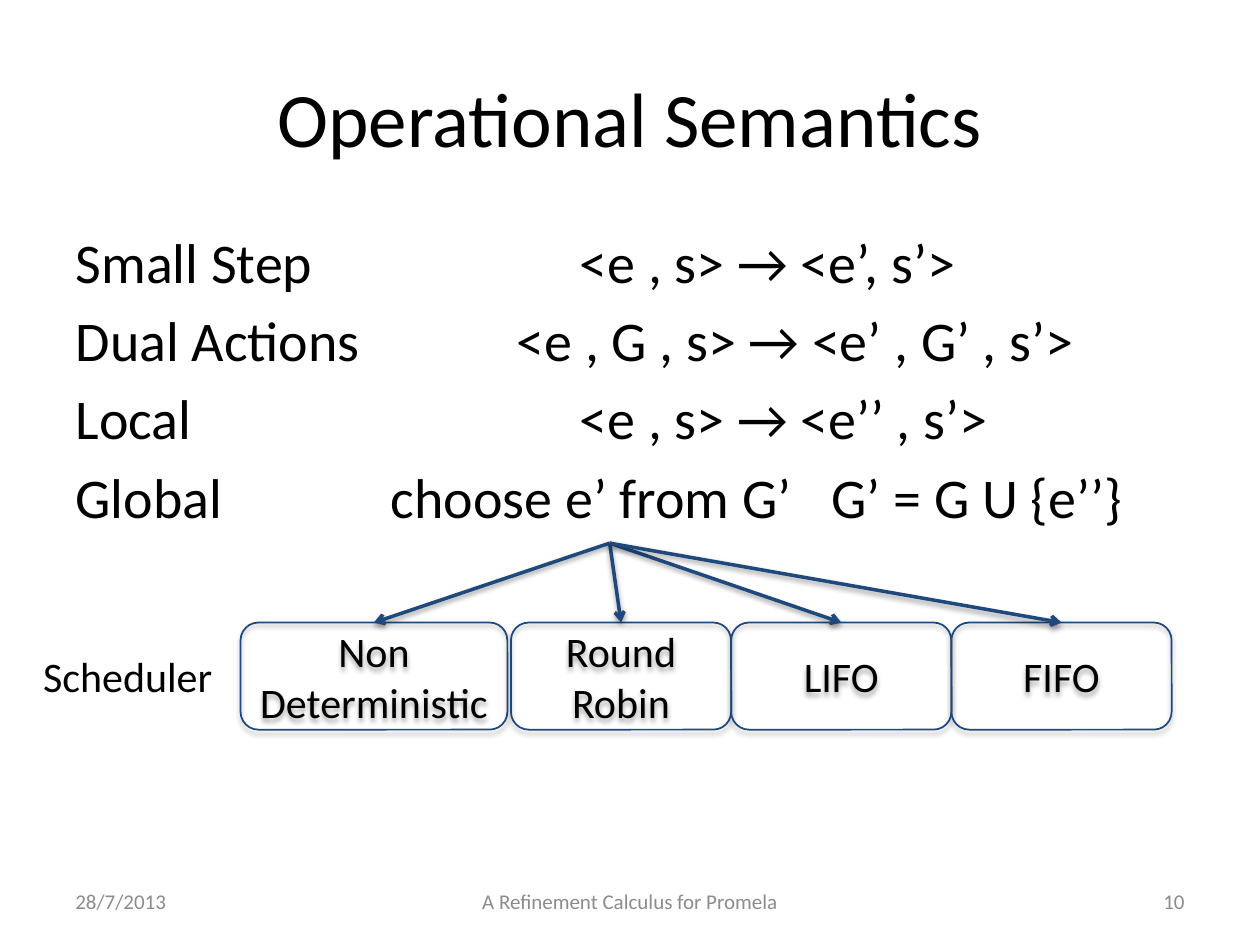
from pptx import Presentation
from pptx.dml.color import RGBColor
from pptx.enum.shapes import MSO_CONNECTOR as Link, MSO_SHAPE as Shape
from pptx.enum.text import MSO_ANCHOR as Anchor, PP_ALIGN as Align
from pptx.oxml import parse_xml
from pptx.oxml.ns import nsdecls, qn
from pptx.util import Cm, Pt

TITLE = "Operational Semantics"
# Each rule: its name, the count of half-inch tabs, and its formula
RULES = [
    ("Small Step", 5, "<e , s> → <e’, s’>"),
    ("Dual Actions", 3, "<e , G , s> → <e’ , G’ , s’>"),
    ("Local ", 6, "<e , s> → <e’’ , s’>"),
    ("Global ", 3, "choose e’ from G’ \tG’ = G U {e’’}"),
]
WIDE = "Non\vDeterministic"
OTHERS = ["Round Robin", "LIFO", "FIFO"]
# Each footer part: text, left, width, alignment
FOOTER = [
    ("28/7/2013", 1.27, 5.93, Align.LEFT),
    ("A Refinement Calculus for Promela", 8.68, 8.04, Align.CENTER),
    ("10", 18.2, 5.93, Align.RIGHT),
]
NAVY, BLACK, GRAY = "1F497D", "000000", "8C8C8C"
FONT = "Calibri"
BOX_TOP, BOX_HIGH = 12.55, 2.16
WIDE_LEFT, WIDE_WIDTH = 4.85, 5.38
NEXT_LEFT, NEXT_WIDTH = 10.3, 4.44
HUB = 12.29, 10.95


def color(code):
    return RGBColor.from_string(code)


def write(frame, text, size=24, ink=BLACK, align=Align.LEFT,
          anchor=Anchor.MIDDLE, wrap=True):
    frame.word_wrap = wrap
    frame.vertical_anchor = anchor
    for i, line in enumerate(text.split("\n")):
        para = frame.add_paragraph() if i else frame.paragraphs[0]
        para.text = line
        para.alignment = align
        for run in para.runs:
            run.font.name = FONT
            run.font.size = Pt(size)
            run.font.color.rgb = color(ink)


def place(shape, left, top, width, height):
    shape.left, shape.top = Cm(left), Cm(top)
    shape.width, shape.height = Cm(width), Cm(height)


def label(slide, text, left, top, width, height, **style):
    box = slide.shapes.add_textbox(Cm(left), Cm(top), Cm(width), Cm(height))
    write(box.text_frame, text, **style)


def strip_bullet(para):
    props = para._p.get_or_add_pPr()
    props.set("marL", "0")
    props.set("indent", "0")
    props.append(parse_xml(f'<a:buNone {nsdecls("a")}/>'))


def outline(shape, width, drop, alpha):
    """Draw a navy line with a soft shadow straight below."""
    shape.line.color.rgb = color(NAVY)
    shape.line.width = Pt(width)
    shape.element.spPr.append(parse_xml(
        f'<a:effectLst {nsdecls("a")}><a:outerShdw blurRad="{Pt(3.1)}" '
        f'dist="{Pt(drop)}" dir="5400000" rotWithShape="0">'
        f'<a:srgbClr val="{BLACK}"><a:alpha val="{alpha * 1000}"/>'
        '</a:srgbClr></a:outerShdw></a:effectLst>'))


def add_box(slide, text, left, width):
    box = slide.shapes.add_shape(Shape.ROUNDED_RECTANGLE, Cm(left),
                                 Cm(BOX_TOP), Cm(width), Cm(BOX_HIGH))
    box.fill.background()
    outline(box, 1, 1.8, 35)
    write(box.text_frame, text, align=Align.CENTER)


def add_arrow(slide, end):
    arrow = slide.shapes.add_connector(Link.STRAIGHT, Cm(HUB[0]), Cm(HUB[1]),
                                       Cm(end), Cm(BOX_TOP))
    outline(arrow, 2, 1.6, 38)
    arrow.element.spPr.find(qn("a:ln")).append(
        parse_xml(f'<a:tailEnd {nsdecls("a")} type="arrow"/>'))


def main():
    deck = Presentation()
    deck.slide_width, deck.slide_height = Cm(25.4), Cm(19.05)
    slide = deck.slides.add_slide(deck.slide_layouts[1])

    title, body = slide.placeholders
    place(title, 1.27, 0.76, 22.86, 3.18)
    write(title.text_frame, TITLE, size=44, align=Align.CENTER)
    place(body, 1.27, 4.45, 22.86, 12.57)
    lines = [name + "\t" * tabs + rule for name, tabs, rule in RULES]
    write(body.text_frame, "\n".join(lines), size=32, anchor=Anchor.TOP)
    for para in body.text_frame.paragraphs:
        strip_bullet(para)

    for text, left, width, align in FOOTER:
        label(slide, text, left, 17.65, width, 1.02,
              size=12, ink=GRAY, align=align)

    boxes = [(WIDE, WIDE_LEFT, WIDE_WIDTH)]
    boxes += [(text, NEXT_LEFT + i * NEXT_WIDTH, NEXT_WIDTH)
              for i, text in enumerate(OTHERS)]
    for text, left, width in boxes:
        add_box(slide, text, left, width)
    label(slide, "Scheduler", 0.62, 12.98, 4.29, 1.27,
          anchor=Anchor.TOP, wrap=False)
    for _, left, width in boxes:
        add_arrow(slide, left + width / 2)

    deck.save("out.pptx")


if __name__ == "__main__":
    main()
